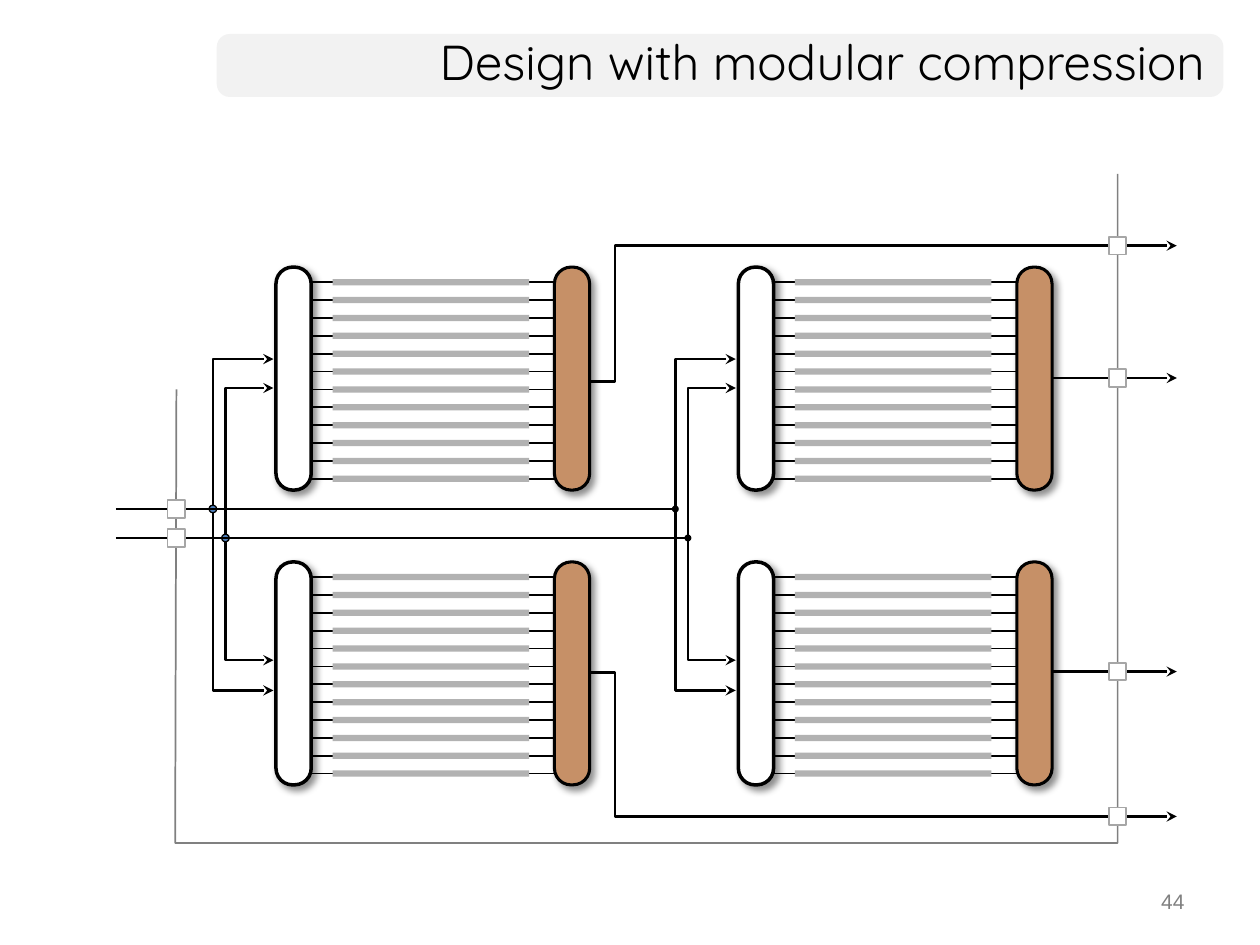
from dataclasses import dataclass
from typing import Optional

from lxml import etree
from pptx import Presentation
from pptx.dml.color import RGBColor
from pptx.enum.shapes import MSO_CONNECTOR, MSO_SHAPE
from pptx.enum.text import MSO_ANCHOR, PP_ALIGN
from pptx.oxml.ns import qn
from pptx.util import Inches, Pt

RECT = MSO_SHAPE.RECTANGLE
ROUNDED = MSO_SHAPE.ROUNDED_RECTANGLE
OVAL = MSO_SHAPE.OVAL
STRAIGHT = MSO_CONNECTOR.STRAIGHT
TOP = MSO_ANCHOR.TOP
MIDDLE = MSO_ANCHOR.MIDDLE
RIGHT = PP_ALIGN.RIGHT


@dataclass(frozen=True)
class Theme:
    black: str = "000000"
    white: str = "FFFFFF"
    band: str = "F2F2F2"
    grey: str = "808080"
    port: str = "A6A6A6"
    chain: str = "B2B2B2"
    compressor: str = "C69067"
    junction: str = "4F81BD"
    title_font: str = "Quicksand"
    body_font: str = "Arial"
    title_size: float = 28
    number_size: float = 12
    wire: float = 1.5
    thin: float = 1


@dataclass(frozen=True)
class Box:
    left: float
    top: float
    width: float
    height: float

    def emu(self):
        return [Inches(v) for v in (self.left, self.top, self.width, self.height)]


@dataclass(frozen=True)
class Wire:
    points: list
    head: Optional[str] = None
    tail: Optional[str] = None
    end_size: str = "med"
    color: str = Theme.black
    width: float = Theme.wire


CHAINS = 12
CHAIN_PITCH = 1.56 / (CHAINS - 1)
BAR_WIDTH, BAR_HEIGHT = 0.28, 1.77
PORT_SIZE = 0.14
DOT_SIZE = 0.06
MODULE_LEFTS = (2.19, 5.86)
MODULE_TOPS = (2.12, 4.46)
BUS_Y = (4.04, 4.27)
OUTPUT_X = 8.87
INPUT_X = 1.4
ARROW_X = 9.34
OUTPUT_Y = (1.95, 3, 5.33, 6.48)


def write(tf, text: str, *, font: str, size: float, color: str,
          align=RIGHT, anchor=MIDDLE, spacing: float = 1.0) -> None:
    tf.word_wrap = True
    tf.vertical_anchor = anchor
    p = tf.paragraphs[0]
    p.alignment = align
    p.line_spacing = spacing
    r = p.add_run()
    r.text = text
    r.font.name = font
    r.font.size = Pt(size)
    r.font.color.rgb = RGBColor.from_string(color)


def add_box(shapes, kind, box: Box, fill: str, line: Optional[str] = None,
            width: float = 1, corner: Optional[float] = None):
    sp = shapes.add_shape(kind, *box.emu())
    sp.shadow.inherit = False
    sp.fill.solid()
    sp.fill.fore_color.rgb = RGBColor.from_string(fill)
    if line:
        sp.line.color.rgb = RGBColor.from_string(line)
        sp.line.width = Pt(width)
    else:
        sp.line.fill.background()
    if corner is not None:
        sp.adjustments[0] = corner
    return sp


def add_shadow(sp) -> None:
    effects = sp.element.spPr.find(qn("a:effectLst"))
    shadow = etree.SubElement(effects, qn("a:outerShdw"), blurRad=str(Pt(4)),
                              dist=str(Pt(3)), dir=str(45 * 60000))
    color = etree.SubElement(shadow, qn("a:srgbClr"), val=Theme.black)
    etree.SubElement(color, qn("a:alpha"), val="43000")


def add_wire(shapes, wire: Wire) -> None:
    """Two points make a straight connector; more make an open outline."""
    start, *rest = [(Inches(x), Inches(y)) for x, y in wire.points]
    if len(rest) == 1:
        sp = shapes.add_connector(STRAIGHT, *start, *rest[0])
    else:
        builder = shapes.build_freeform(*start)
        builder.add_line_segments(rest, close=False)
        sp = builder.convert_to_shape()
        sp.fill.background()
    sp.line.color.rgb = RGBColor.from_string(wire.color)
    sp.line.width = Pt(wire.width)
    spPr = sp.element.spPr
    ln = spPr.find(qn("a:ln"))
    for tag, end in (("a:headEnd", wire.head), ("a:tailEnd", wire.tail)):
        if end:
            etree.SubElement(ln, qn(tag), type=end, w=wire.end_size, len=wire.end_size)
    etree.SubElement(spPr, qn("a:effectLst"))


def add_port(shapes, x: float, y: float) -> None:
    half = PORT_SIZE / 2
    add_box(shapes, RECT, Box(x - half, y - half, PORT_SIZE, PORT_SIZE),
            Theme.white, Theme.port)


def add_junction(shapes, x: float, y: float) -> None:
    half = DOT_SIZE / 2
    add_box(shapes, OVAL, Box(x - half, y - half, DOT_SIZE, DOT_SIZE),
            Theme.junction, Theme.black, 0.75)


def add_module(shapes, left: float, top: float) -> None:
    """Scan chains between a decompressor and a compressor, in one group."""
    group = shapes.add_group_shape().shapes
    rows = [top + 0.12 + i * CHAIN_PITCH for i in range(CHAINS)]
    for y in rows:
        add_wire(group, Wire([(left + 0.15, y), (left + 2.4, y)], width=Theme.thin))
    for offset, fill, width in ((0, Theme.white, 2), (2.21, Theme.compressor, 1.75)):
        bar = add_box(group, ROUNDED, Box(left + offset, top, BAR_WIDTH, BAR_HEIGHT),
                      fill, Theme.black, width, corner=0.474)
        add_shadow(bar)
    for y in rows:
        add_box(group, RECT, Box(left + 0.45, y - 0.025, 1.56, 0.05), Theme.chain)


def add_title(s) -> None:
    title = s.shapes.title
    title.left, title.top, title.width, title.height = Box(1.34, 0.27, 8.32, 0.5).emu()
    write(title.text_frame, "Design with modular compression", font=Theme.title_font,
          size=Theme.title_size, color=Theme.black, spacing=0.85)
    band = add_box(s.shapes, ROUNDED, Box(1.72, 0.27, 7.99, 0.5), Theme.band, corner=0.208)
    title.element.addprevious(band.element)


def add_wiring(shapes) -> None:
    for y_bar, y_out in ((3.03, OUTPUT_Y[0]), (5.34, OUTPUT_Y[3])):
        add_wire(shapes, Wire([(4.44, y_bar), (4.88, y_bar), (4.88, y_out),
                               (ARROW_X, y_out)], tail="stealth"))
    for y in OUTPUT_Y[1:3]:
        add_wire(shapes, Wire([(8.29, y), (ARROW_X, y)], tail="stealth"))
    add_wire(shapes, Wire([(INPUT_X, 3.09), (1.39, 6.69), (OUTPUT_X, 6.69),
                           (OUTPUT_X, 1.38)], color=Theme.grey, width=Theme.thin))
    for left in MODULE_LEFTS:
        end = left - 0.02
        for x, top, bottom in ((left - 0.4, 3.08, 5.24), (left - 0.5, 2.85, 5.48)):
            add_wire(shapes, Wire([(end, top), (x, top), (x, bottom), (end, bottom)],
                                  head="stealth", tail="stealth"))
    for x, end, y in zip((1.69, 1.79), (5.36, 5.46), BUS_Y):
        add_junction(shapes, x, y)
        add_wire(shapes, Wire([(0.92, y), (end, y)], tail="oval", end_size="sm"))
        add_port(shapes, INPUT_X, y)
    for y in OUTPUT_Y:
        add_port(shapes, OUTPUT_X, y)


def main() -> None:
    prs = Presentation()
    prs.slide_width, prs.slide_height = Inches(10), Inches(7.5)
    s = prs.slides.add_slide(prs.slide_layouts[5])
    add_title(s)
    number = s.shapes.add_textbox(*Box(7.17, 7, 2.33, 0.35).emu())
    write(number.text_frame, "44", font=Theme.body_font, size=Theme.number_size,
          color=Theme.grey, anchor=TOP)
    add_wiring(s.shapes)
    for top in MODULE_TOPS:
        for left in MODULE_LEFTS:
            add_module(s.shapes, left, top)
    prs.save("out.pptx")


if __name__ == "__main__":
    main()
